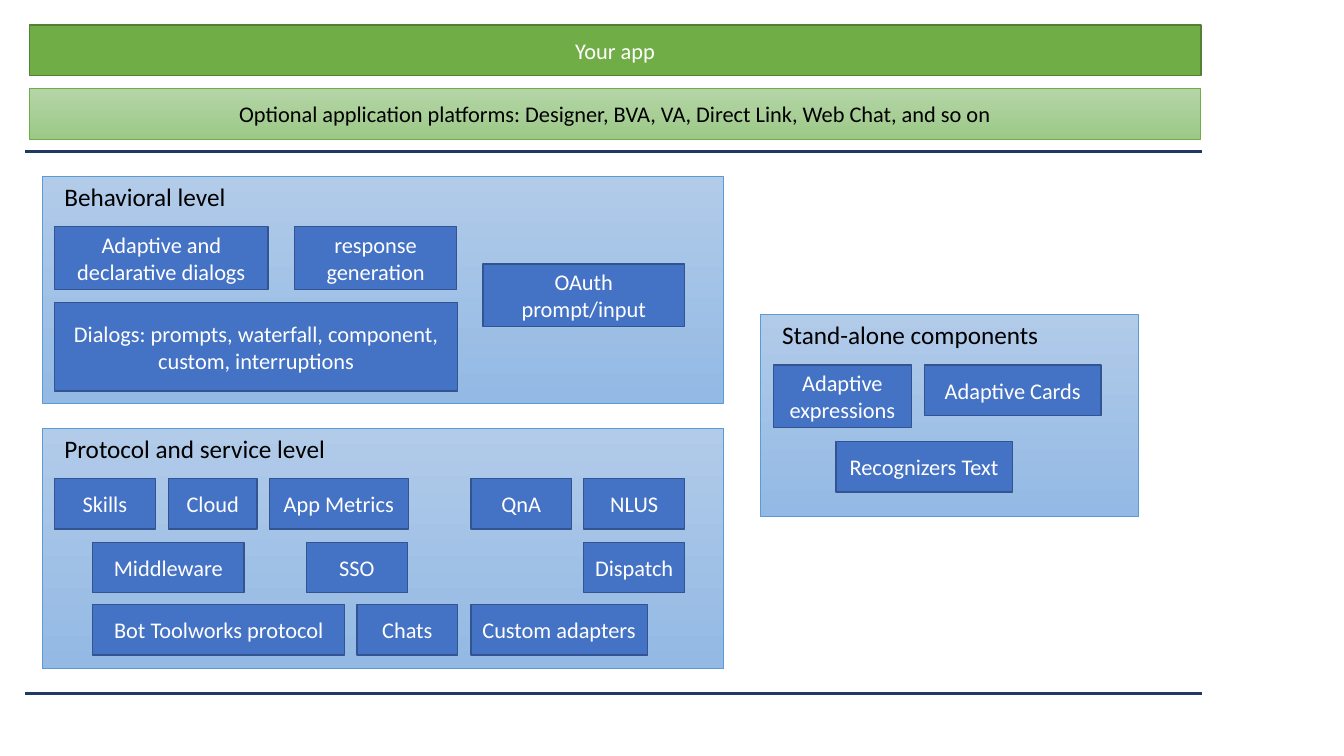
from lxml import etree
from pptx import Presentation
from pptx.dml.color import RGBColor
from pptx.enum.shapes import MSO_CONNECTOR, MSO_SHAPE
from pptx.enum.text import MSO_ANCHOR, MSO_AUTO_SIZE, PP_ALIGN
from pptx.oxml.ns import qn
from pptx.util import Inches, Pt

RECTANGLE = MSO_SHAPE.RECTANGLE
STRAIGHT = MSO_CONNECTOR.STRAIGHT
MIDDLE = MSO_ANCHOR.MIDDLE
CENTER = PP_ALIGN.CENTER
LEFT = PP_ALIGN.LEFT
FIT_SHAPE = MSO_AUTO_SIZE.SHAPE_TO_FIT_TEXT

COLORS = {
    "white": "FFFFFF",
    "black": "000000",
    "blue": "4472C4",
    "blue_edge": "325491",
    "panel_top": "B1CBE9",
    "panel_bottom": "93B9E4",
    "panel_edge": "5B9BD5",
    "green": "70AD47",
    "green_edge": "538035",
    "platform_top": "B5D5A7",
    "platform_bottom": "9CC987",
    "divider": "203864",
}
RGB = {name: RGBColor.from_string(value) for name, value in COLORS.items()}

presentation = Presentation()
presentation.slide_width = Inches(13.33)
presentation.slide_height = Inches(7.5)
slide = presentation.slides.add_slide(presentation.slide_layouts[6])


def write_text(shape, text, size, color, alignment):
    paragraph = shape.text_frame.paragraphs[0]
    paragraph.alignment = alignment
    run = paragraph.add_run()
    run.text = text
    font_format = {"name": "Calibri", "size": Pt(size)}
    for attribute, value in font_format.items():
        setattr(run.font, attribute, value)
    run.font.color.rgb = RGB[color]


def add_box(bounds, fills, edge, edge_width, text="", text_color="white"):
    shape = slide.shapes.add_shape(RECTANGLE, *[Inches(value) for value in bounds])
    shape.shadow.inherit = False
    if len(fills) == 1:
        shape.fill.solid()
        shape.fill.fore_color.rgb = RGB[fills[0]]
    else:
        shape.fill.gradient()
        shape.fill.gradient_angle = 270
        for stop, color, position in zip(shape.fill.gradient_stops, fills, (0, 1)):
            stop.color.rgb = RGB[color]
            stop.position = position
    shape.line.color.rgb = RGB[edge]
    shape.line.width = Pt(edge_width)
    if text:
        shape.text_frame.word_wrap = True
        shape.text_frame.vertical_anchor = MIDDLE
        write_text(shape, text, 16, text_color, CENTER)


add_box((0.29, 0.25, 11.62, 0.5), ["green"], "green_edge", 1, "Your app")
add_box(
    (0.29, 0.88, 11.62, 0.5), ["platform_top", "platform_bottom"], "green", 0.5,
    "Optional application platforms: Designer, BVA, VA, Direct Link, Web Chat, and so on",
    "black",
)

for divider_top in (1.5, 6.88):
    divider = slide.shapes.add_connector(
        STRAIGHT, Inches(11.92), Inches(divider_top), Inches(0.25), Inches(divider_top)
    )
    divider.line.color.rgb = RGB["divider"]
    divider.line.width = Pt(2.25)
    etree.SubElement(divider._element.spPr, qn("a:effectLst"))

panels = [
    ("Behavioral level", 0.42, 1.75, 6.75, 2.25, 1.82, False),
    ("Protocol and service level", 0.42, 4.25, 6.75, 2.38, 3, True),
    ("Stand-alone components", 7.54, 3.12, 3.75, 2, 2.77, False),
]
for title, left, top, width, height, title_width, wraps in panels:
    add_box((left, top, width, height), ["panel_top", "panel_bottom"], "panel_edge", 0.5)
    title_box = slide.shapes.add_textbox(
        Inches(left + 0.12), Inches(top), Inches(title_width), Inches(0.4)
    )
    frame_format = {"word_wrap": wraps, "auto_size": FIT_SHAPE}
    for attribute, value in frame_format.items():
        setattr(title_box.text_frame, attribute, value)
    write_text(title_box, title, 18, "black", LEFT)

component_rows = [
    (2.25, 0.62, [
        ("Adaptive and declarative dialogs", 0.54, 2.12),
        ("response generation", 2.92, 1.61),
    ]),
    (2.62, 0.62, [("OAuth prompt/input", 4.79, 2)]),
    (3, 0.88, [("Dialogs: prompts, waterfall, component, custom, interruptions", 0.54, 4)]),
    (4.75, 0.5, [
        ("Skills", 0.54, 1),
        ("Cloud", 1.67, 0.88),
        ("App Metrics", 2.67, 1.38),
        ("QnA", 4.67, 1),
        ("NLUS", 5.79, 1),
    ]),
    (5.38, 0.5, [
        ("Middleware", 0.92, 1.5),
        ("SSO", 3.04, 1),
        ("Dispatch", 5.79, 1),
    ]),
    (6, 0.5, [
        ("Bot Toolworks protocol", 0.92, 2.5),
        ("Chats", 3.54, 1),
        ("Custom adapters", 4.67, 1.75),
    ]),
    (3.62, 0.62, [("Adaptive expressions", 7.67, 1.37)]),
    (3.62, 0.5, [("Adaptive Cards", 9.17, 1.75)]),
    (4.38, 0.5, [("Recognizers Text", 8.29, 1.75)]),
]
for top, height, components in component_rows:
    for text, left, width in components:
        add_box((left, top, width, height), ["blue"], "blue_edge", 1, text)

presentation.save("out.pptx")
